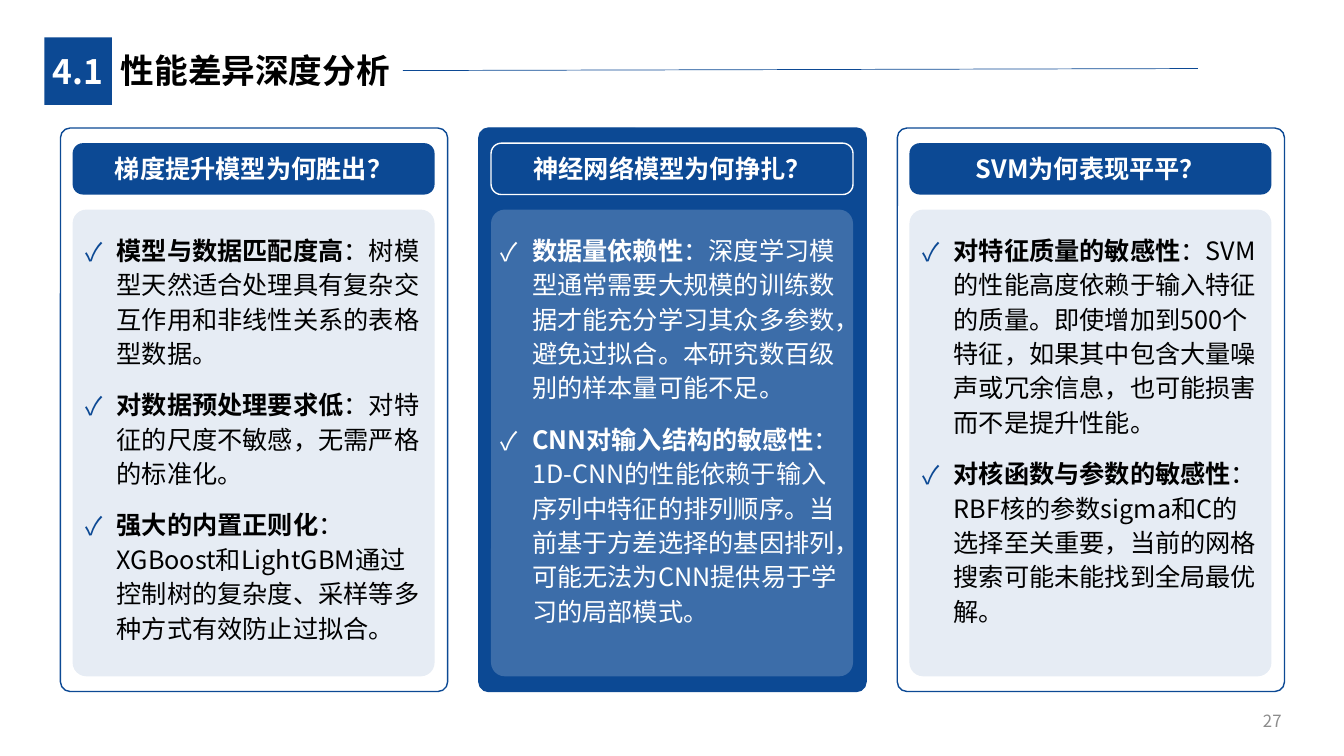
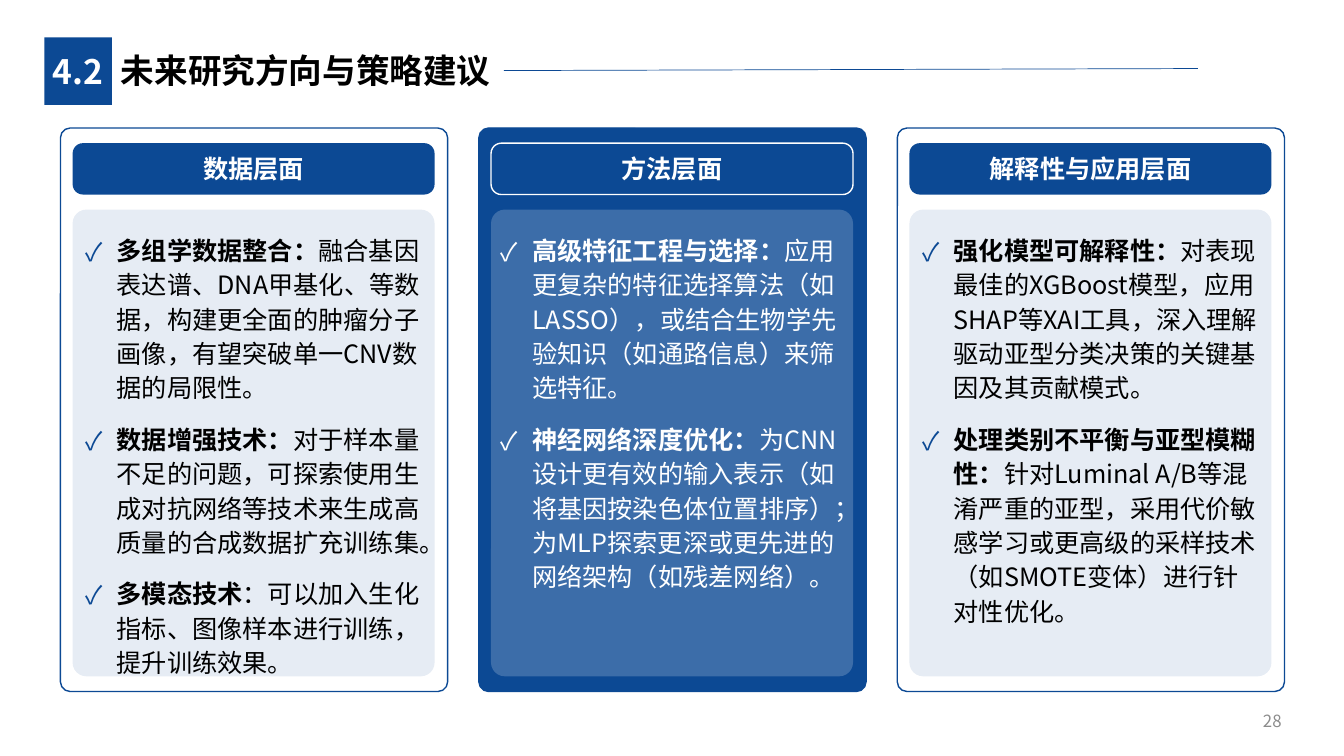
"""Build two analysis slides, each with three check-list columns under a numbered title."""
from lxml.etree import SubElement
from pptx import Presentation
from pptx.dml.color import RGBColor
from pptx.enum.shapes import MSO_CONNECTOR, MSO_SHAPE
from pptx.enum.text import MSO_ANCHOR, PP_ALIGN
from pptx.oxml.ns import qn
from pptx.util import Inches, Pt

BLUE = RGBColor(0x0C, 0x49, 0x94)
WHITE = RGBColor(0xFF, 0xFF, 0xFF)
BLACK = RGBColor(0x00, 0x00, 0x00)
GREY = RGBColor(0x8C, 0x8C, 0x8C)
FONT = "Noto Sans CJK SC"

COLUMN_LEFT, COLUMN_STEP, COLUMN_WIDTH = 0.6, 4.15, 3.84
COLUMN_TOP, COLUMN_HEIGHT = 1.27, 5.59
INSET, INNER_WIDTH = 0.12, 3.59
HEADER_TOP, HEADER_HEIGHT = 1.42, 0.51
PANEL_TOP, PANEL_HEIGHT = 2.08, 4.63
LIST_TOP, LIST_WIDTH, LIST_HEIGHT = 2.24, 3.53, 4.21
BULLET_INDENT = Inches(0.31)
TITLE_LEFT, TITLE_SIZE, TITLE_PADDING = 1.1, 24, 0.23

COLUMN_STYLES = [
    {"card": None, "header": BLUE, "border": None, "panel": BLUE, "opacity": 10,
     "text": BLACK, "bullet": BLUE, "list_offset": 0.03},
    {"card": BLUE, "header": None, "border": WHITE, "panel": WHITE, "opacity": 20,
     "text": WHITE, "bullet": WHITE, "list_offset": 0},
]

SLIDES = [
    ("4.1", "性能差异深度分析", "27", [
        ("梯度提升模型为何胜出？", [
            ("模型与数据匹配度高", "：树模型天然适合处理具有复杂交互作用和非线性关系的表格型数据。"),
            ("对数据预处理要求低", "：对特征的尺度不敏感，无需严格的标准化。"),
            ("强大的内置正则化", "：XGBoost和LightGBM通过控制树的复杂度、采样等多种方式有效防止过拟合。"),
        ]),
        ("神经网络模型为何挣扎？", [
            ("数据量依赖性", "：深度学习模型通常需要大规模的训练数据才能充分学习其众多参数，"
             "避免过拟合。本研究数百级别的样本量可能不足。"),
            ("CNN对输入结构的敏感性", "：1D-CNN的性能依赖于输入序列中特征的排列顺序。"
             "当前基于方差选择的基因排列，可能无法为CNN提供易于学习的局部模式。"),
        ]),
        ("SVM为何表现平平？", [
            ("对特征质量的敏感性", "：SVM的性能高度依赖于输入特征的质量。即使增加到500个特征，"
             "如果其中包含大量噪声或冗余信息，也可能损害而不是提升性能。"),
            ("对核函数与参数的敏感性", "：RBF核的参数sigma和C的选择至关重要，"
             "当前的网格搜索可能未能找到全局最优解。"),
        ]),
    ]),
    ("4.2", "未来研究方向与策略建议", "28", [
        ("数据层面", [
            ("多组学数据整合：", "融合基因表达谱、DNA甲基化、等数据，构建更全面的肿瘤分子画像，"
             "有望突破单一CNV数据的局限性。"),
            ("数据增强技术：", "对于样本量不足的问题，可探索使用生成对抗网络等技术来生成高质量的"
             "合成数据扩充训练集。"),
            ("多模态技术", "：可以加入生化指标、图像样本进行训练，提升训练效果。"),
        ]),
        ("方法层面", [
            ("高级特征工程与选择：", "应用更复杂的特征选择算法（如LASSO），或结合生物学先验知识"
             "（如通路信息）来筛选特征。"),
            ("神经网络深度优化：", "为CNN设计更有效的输入表示（如将基因按染色体位置排序）；"
             "为MLP探索更深或更先进的网络架构（如残差网络）。"),
        ]),
        ("解释性与应用层面", [
            ("强化模型可解释性：", "对表现最佳的XGBoost模型，应用SHAP等XAI工具，"
             "深入理解驱动亚型分类决策的关键基因及其贡献模式。"),
            ("处理类别不平衡与亚型模糊性：", "针对Luminal A/B等混淆严重的亚型，"
             "采用代价敏感学习或更高级的采样技术（如SMOTE变体）进行针对性优化。"),
        ]),
    ]),
]


def add_box(slide, kind, left, top, width, height, fill=None, border=None, corner=None):
    shape = slide.shapes.add_shape(kind, Inches(left), Inches(top), Inches(width), Inches(height))
    shape.shadow.inherit = False
    if corner is not None:
        shape.adjustments[0] = corner
    if fill is None:
        shape.fill.background()
    else:
        shape.fill.solid()
        shape.fill.fore_color.rgb = fill
    if border is None:
        shape.line.fill.background()
    else:
        shape.line.color.rgb = border
        shape.line.width = Pt(1)
    return shape


def add_run(paragraph, text, size, color, bold, align=PP_ALIGN.LEFT):
    paragraph.alignment = align
    run = paragraph.add_run()
    run.text = text
    run.font.name = FONT
    run.font.size = Pt(size)
    run.font.bold = bold
    run.font.color.rgb = color
    properties = run._r.get_or_add_rPr()
    properties.set("lang", "zh-CN")
    SubElement(properties, qn("a:ea")).set("typeface", FONT)


presentation = Presentation()
presentation.slide_width = Inches(13.33)
presentation.slide_height = Inches(7.5)

for number, title, page, columns in SLIDES:
    slide = presentation.slides.add_slide(presentation.slide_layouts[6])

    badge = add_box(slide, MSO_SHAPE.RECTANGLE, 0.44, 0.37, 0.67, 0.67, BLUE)
    badge.text_frame.word_wrap = False
    badge.text_frame.vertical_anchor = MSO_ANCHOR.MIDDLE
    add_run(badge.text_frame.paragraphs[0], number, TITLE_SIZE, WHITE, True, PP_ALIGN.CENTER)

    title_width = len(title) * TITLE_SIZE / 72 + TITLE_PADDING
    title_box = slide.shapes.add_textbox(
        Inches(TITLE_LEFT), Inches(0.45), Inches(title_width), Inches(0.5))
    title_box.text_frame.word_wrap = False
    add_run(title_box.text_frame.paragraphs[0], title, TITLE_SIZE, BLACK, True)

    rule = slide.shapes.add_connector(
        MSO_CONNECTOR.STRAIGHT, Inches(TITLE_LEFT + title_width), Inches(0.7),
        Inches(11.88), Inches(0.68))
    rule.line.color.rgb = BLUE
    rule.line.width = Pt(0.5)
    SubElement(rule._element.spPr, qn("a:effectLst"))

    page_box = slide.shapes.add_textbox(Inches(9.81), Inches(6.95), Inches(3), Inches(0.4))
    page_box.text_frame.word_wrap = True
    page_box.text_frame.vertical_anchor = MSO_ANCHOR.MIDDLE
    add_run(page_box.text_frame.paragraphs[0], page, 12, GREY, False, PP_ALIGN.RIGHT)

    for index, (heading, points) in enumerate(columns):
        style = COLUMN_STYLES[index % 2]
        left = COLUMN_LEFT + index * COLUMN_STEP
        inner_left = left + INSET

        add_box(slide, MSO_SHAPE.ROUNDED_RECTANGLE, left, COLUMN_TOP, COLUMN_WIDTH,
                COLUMN_HEIGHT, style["card"], BLUE, 0.025)

        header = add_box(slide, MSO_SHAPE.ROUNDED_RECTANGLE, inner_left, HEADER_TOP, INNER_WIDTH,
                         HEADER_HEIGHT, style["header"], style["border"], 0.2)
        header.text_frame.vertical_anchor = MSO_ANCHOR.MIDDLE
        add_run(header.text_frame.paragraphs[0], heading, 18, WHITE, True, PP_ALIGN.CENTER)

        panel = add_box(slide, MSO_SHAPE.ROUNDED_RECTANGLE, inner_left, PANEL_TOP, INNER_WIDTH,
                        PANEL_HEIGHT, style["panel"], corner=0.038)
        panel_color = panel._element.spPr.find(qn("a:solidFill")).find(qn("a:srgbClr"))
        SubElement(panel_color, qn("a:alpha")).set("val", str(style["opacity"] * 1000))

        point_list = slide.shapes.add_textbox(
            Inches(inner_left + style["list_offset"]), Inches(LIST_TOP),
            Inches(LIST_WIDTH), Inches(LIST_HEIGHT))
        frame = point_list.text_frame
        frame.word_wrap = True
        for position, (lead, detail) in enumerate(points):
            paragraph = frame.add_paragraph() if position else frame.paragraphs[0]
            paragraph.line_spacing = 1.14
            paragraph.space_after = Pt(12)
            properties = paragraph._p.get_or_add_pPr()
            properties.set("marL", str(BULLET_INDENT))
            properties.set("indent", str(-BULLET_INDENT))
            properties.set("hangingPunct", "1")
            bullet_color = SubElement(properties, qn("a:buClr"))
            SubElement(bullet_color, qn("a:srgbClr")).set("val", str(style["bullet"]))
            SubElement(properties, qn("a:buFont")).set("typeface", FONT)
            SubElement(properties, qn("a:buChar")).set("char", "✓")
            add_run(paragraph, lead, 18, style["text"], True)
            add_run(paragraph, detail, 18, style["text"], False)

presentation.save("out.pptx")
